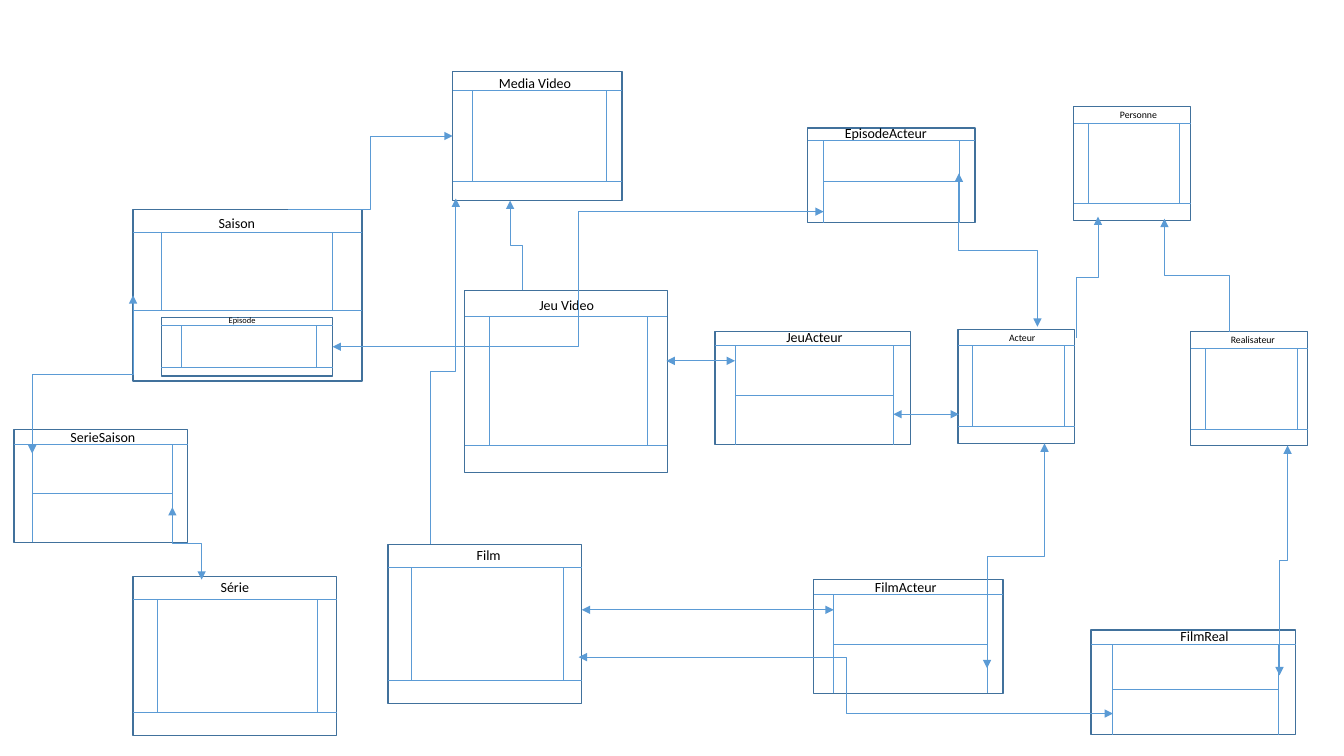
import pptx
import pptx.util
import pptx.dml.color
import pptx.enum.shapes
import pptx.enum.text
import pptx.oxml.ns
import lxml.etree

Inches = pptx.util.Inches
Pt = pptx.util.Pt
RGB = pptx.dml.color.RGBColor.from_string
KIND = pptx.enum.shapes.MSO_CONNECTOR
qn = pptx.oxml.ns.qn

THEME = {
    "font": "Calibri", "text": RGB("000000"), "fill": RGB("FFFFFF"),
    "frame": RGB("41719C"), "line": RGB("5B9BD5"),
    "frame_w": Pt(1), "line_w": Pt(0.5),
    "large": 10, "small": 7, "tiny": 6,
}
LABEL_H = {"large": 0.27, "small": 0.22, "tiny": 0.2}

prs = pptx.Presentation()
prs.slide_width, prs.slide_height = Inches(13.33), Inches(7.5)
s = prs.slides.add_slide(prs.slide_layouts[6])


def add_line(x1, y1, x2, y2, kind=KIND.STRAIGHT, ends=()):
    cn = s.shapes.add_connector(kind, Inches(x1), Inches(y1), Inches(x2), Inches(y2))
    cn.line.color.rgb = THEME["line"]
    cn.line.width = THEME["line_w"]
    for end in ends:
        lxml.etree.SubElement(cn.line._get_or_add_ln(), qn("a:" + end), type="triangle")
    lxml.etree.SubElement(cn._element.spPr, qn("a:effectLst"))
    return cn


def add_frame(name, box, label, size, filled):
    x, y, w, h = box
    sp = s.shapes.add_shape(pptx.enum.shapes.MSO_SHAPE.RECTANGLE,
                            Inches(x), Inches(y), Inches(w), Inches(h))
    sp.shadow.inherit = False
    if filled:
        sp.fill.solid()
        sp.fill.fore_color.rgb = THEME["fill"]
    else:
        sp.fill.background()
    sp.line.color.rgb = THEME["frame"]
    sp.line.width = THEME["frame_w"]
    lx, ly, lw = label
    tb = s.shapes.add_textbox(Inches(lx), Inches(ly), Inches(lw), Inches(LABEL_H[size]))
    tf = tb.text_frame
    tf.word_wrap = True
    tf.auto_size = pptx.enum.text.MSO_AUTO_SIZE.SHAPE_TO_FIT_TEXT
    r = tf.paragraphs[0].add_run()
    r.text = name
    r.font.name = THEME["font"]
    r.font.size = Pt(THEME[size])
    r.font.color.rgb = THEME["text"]


# name, frame, (header y, footer y, left x, right x), label, size, filled
entities = [
    ("Media Video", (4.49, 0.71, 1.68, 1.28), (0.9, 1.8, 4.69, 6.01), (4.85, 0.69, 1.09), "large", True),
    ("Saison", (1.32, 2.08, 2.27, 1.7), (2.31, 3.08, 1.6, 3.3), (2.07, 2.08, 1.57), "large", False),
    ("Episode", (1.6, 3.15, 1.7, 0.58), (3.23, 3.64, 1.8, 3.14), (2.17, 3.08, 1.28), "tiny", True),
    ("Personne", (10.65, 1.06, 1.16, 1.13), (1.22, 2.02, 10.79, 11.7), (11.01, 1.03, 0.76), "small", True),
    ("Acteur", (9.5, 3.27, 1.16, 1.13), (3.43, 4.23, 9.64, 10.56), (9.91, 3.24, 0.76), "small", True),
    ("Realisateur", (11.81, 3.29, 1.16, 1.13), (3.46, 4.26, 11.95, 12.87), (12.11, 3.26, 0.76), "small", True),
    ("Série", (1.32, 5.72, 2.02, 1.58), (5.95, 7.07, 1.56, 3.15), (2.09, 5.69, 1.33), "large", True),
    ("Jeu Video", (4.61, 2.88, 2.01, 1.81), (3.14, 4.42, 4.85, 6.42), (5.25, 2.89, 1.28), "large", True),
    ("Film", (3.85, 5.4, 1.92, 1.58), (5.63, 6.75, 4.08, 5.59), (4.63, 5.37, 0.6), "large", True),
]
for name, box, (top, foot, left, right), label, size, filled in entities:
    add_frame(name, box, label, size, filled)
    for y in (top, foot):
        add_line(box[0], y, box[0] + box[2], y)
    for x in (left, right):
        add_line(x, top, x, foot)

# name, frame, (header y, left x, right x), label
link_tables = [
    ("JeuActeur", (7.09, 3.29, 1.94, 1.12), (3.43, 7.29, 8.86), (7.7, 3.21, 1.92)),
    ("SerieSaison", (0.14, 4.26, 1.72, 1.12), (4.41, 0.32, 1.71), (0.6, 4.2, 0.89)),
    ("FilmActeur", (8.07, 5.75, 1.88, 1.13), (5.9, 8.27, 9.79), (8.58, 5.69, 1)),
    ("FilmReal", (10.82, 6.25, 2.03, 1.04), (6.39, 11.03, 12.68), (11.61, 6.18, 1.28)),
    ("EpisodeActeur", (8.01, 1.27, 1.66, 0.94), (1.39, 8.17, 9.52), (8.28, 1.19, 1.92)),
]
for name, box, (top, left, right), label in link_tables:
    add_frame(name, box, label, "large", False)
    bottom = box[1] + box[3]
    middle = (top + bottom) / 2
    add_line(box[0], top, box[0] + box[2], top)
    for x in (left, right):
        add_line(x, top, x, bottom)
    add_line(left, middle, right, middle)

ONE, BOTH = ("tailEnd",), ("headEnd", "tailEnd")

for points, kind, ends in [
    ((2.86, 2.08, 4.49, 1.35), KIND.ELBOW, ONE),
    ((11.04, 7.08, 5.74, 6.52), KIND.ELBOW, BOTH),
    ((8.17, 2.1, 3.3, 3.44), KIND.ELBOW, BOTH),
    ((7.29, 3.58, 6.61, 3.58), KIND.STRAIGHT, BOTH),
    ((8.86, 4.11, 9.51, 4.11), KIND.STRAIGHT, BOTH),
    ((8.27, 6.05, 5.77, 6.05), KIND.STRAIGHT, BOTH),
]:
    add_line(*points, kind, ends)

for x1, y1, x2, y2, ends in [
    (10.67, 3.35, 10.89, 2.15, ONE),
    (12.19, 3.29, 11.55, 2.17, ONE),
    (5.18, 2.88, 5.06, 1.99, ONE),
    (4.27, 5.4, 4.52, 1.97, ONE),
    (9.79, 6.63, 10.36, 4.4, BOTH),
    (12.69, 6.7, 12.77, 4.42, BOTH),
    (1.71, 5.03, 2, 5.75, BOTH),
    (0.32, 4.5, 1.32, 2.93, BOTH),
    (9.51, 1.72, 10.29, 3.24, BOTH),
]:
    cx, cy = (x1 + x2) / 2, (y1 + y2) / 2
    dx, dy = (x2 - x1) / 2, (y2 - y1) / 2
    cn = add_line(cx - dy, cy + dx, cx + dy, cy - dx, KIND.ELBOW, ends)
    cn._element.spPr.find(qn("a:xfrm")).set("rot", "5400000")

prs.save("out.pptx")
